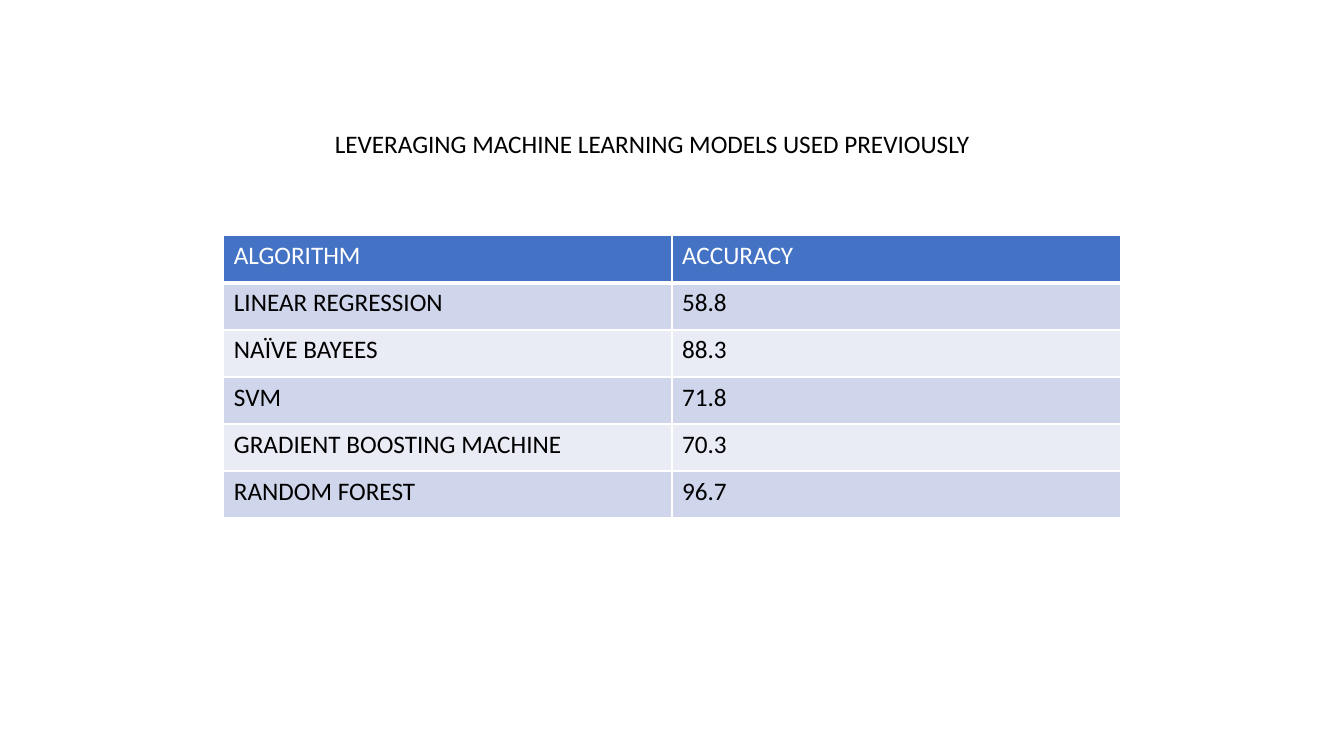
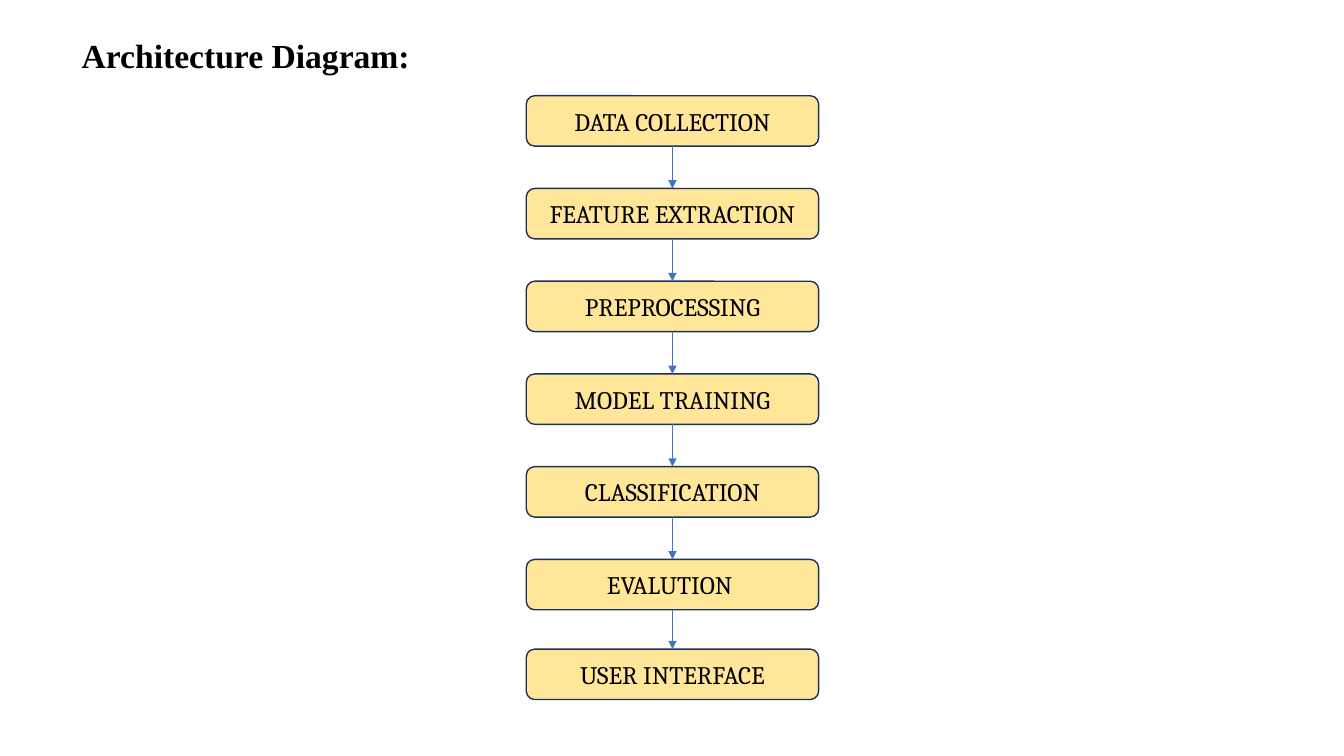
from itertools import pairwise

from lxml.etree import SubElement
from pptx import Presentation
from pptx.dml.color import RGBColor
from pptx.enum.shapes import MSO_CONNECTOR, MSO_SHAPE
from pptx.enum.text import MSO_ANCHOR as Anchor, PP_ALIGN as Align
from pptx.oxml import parse_xml
from pptx.oxml.ns import nsdecls, qn
from pptx.util import Inches, Pt

COLORS = {
    "text": "000000",
    "white": "FFFFFF",
    "accent": "4472C4",
    "band_dark": "CFD5EA",
    "band_light": "E9EBF5",
    "step": "FFE699",
    "step_line": "1E3256",
}
TITLE_ONLY = 5
ACCURACY_ROWS = [
    ("ALGORITHM", "ACCURACY"),
    ("LINEAR REGRESSION", "58.8"),
    ("NAÏVE BAYEES", "88.3"),
    ("SVM", "71.8"),
    ("GRADIENT BOOSTING MACHINE", "70.3"),
    ("RANDOM FOREST", "96.7"),
]
STEPS = [
    "DATA COLLECTION", "FEATURE EXTRACTION", "PREPROCESSING", "MODEL TRAINING",
    "CLASSIFICATION", "EVALUTION ", "USER INTERFACE",
]
# The last step sits slightly closer than the regular pitch.
STEP_TOPS = [0.95 + 0.92 * row for row in range(len(STEPS) - 1)] + [6.44]


def color(name):
    return RGBColor.from_string(COLORS[name])


def write(frame, text, font, size=18, ink="text", align=Align.LEFT,
          anchor=Anchor.TOP, bold=False):
    frame.word_wrap = True
    frame.vertical_anchor = anchor
    para = frame.paragraphs[0]
    para.alignment = align
    span = para.add_run()
    span.text = text
    formats = {"name": font, "size": Pt(size), "bold": bold}
    for attribute, value in formats.items():
        setattr(span.font, attribute, value)
    span.font.color.rgb = color(ink)


def add_titled_slide(deck, text, place, **formats):
    page = deck.slides.add_slide(deck.slide_layouts[TITLE_ONLY])
    title = page.shapes.title
    for side, value in zip(("left", "top", "width", "height"), place):
        setattr(title, side, Inches(value))
    write(title.text_frame, text, **formats)
    return page


def set_borders(cell, bottom_width):
    """Draw white cell borders, 1 point wide except for the bottom one."""
    properties = cell._tc.get_or_add_tcPr()
    widths = {"lnL": 1, "lnR": 1, "lnT": 1, "lnB": bottom_width}
    for position, (edge, width) in enumerate(widths.items()):
        properties.insert(position, parse_xml(
            f'<a:{edge} {nsdecls("a")} w="{Pt(width)}"><a:solidFill>'
            f'<a:srgbClr val="{COLORS["white"]}"/></a:solidFill></a:{edge}>'))


def add_banded_table(page, rows, left, top, width, height):
    table = page.shapes.add_table(
        len(rows), len(rows[0]),
        Inches(left), Inches(top), Inches(width), Inches(height)).table
    for row, values in enumerate(rows):
        header = row == 0
        fill = "accent" if header else "band_dark" if row % 2 else "band_light"
        for column, value in enumerate(values):
            cell = table.cell(row, column)
            cell.fill.solid()
            cell.fill.fore_color.rgb = color(fill)
            set_borders(cell, bottom_width=3 if header else 1)
            write(cell.text_frame, value, "Calibri",
                  ink="white" if header else "text")


def add_step(page, text, top):
    box = page.shapes.add_shape(
        MSO_SHAPE.ROUNDED_RECTANGLE,
        Inches(5.22), Inches(top), Inches(2.9), Inches(0.5))
    box.shadow.inherit = False
    box.fill.solid()
    box.fill.fore_color.rgb = color("step")
    box.line.color.rgb = color("step_line")
    box.line.width = Pt(1)
    write(box.text_frame, text, "Cambria", align=Align.CENTER, anchor=Anchor.MIDDLE)
    return box


def add_arrow(page, upper, lower):
    """Link the bottom of the upper box to the top of the lower one."""
    arrow = page.shapes.add_connector(MSO_CONNECTOR.STRAIGHT, 0, 0, 0, 0)
    arrow.begin_connect(upper, 2)
    arrow.end_connect(lower, 0)
    arrow.line.color.rgb = color("accent")
    arrow.line.width = Pt(0.5)
    SubElement(arrow.line._get_or_add_ln(), qn("a:tailEnd"), type="triangle")
    SubElement(arrow._element.spPr, qn("a:effectLst"))


def add_accuracy_slide(deck):
    page = add_titled_slide(
        deck, "LEVERAGING MACHINE LEARNING MODELS USED PREVIOUSLY",
        (3.22, 1.22, 6.89, 0.4), font="Calibri")
    add_banded_table(page, ACCURACY_ROWS, 2.22, 2.34, 8.89, 2.8)


def add_architecture_slide(deck):
    page = add_titled_slide(
        deck, "Architecture Diagram: ", (0.71, 0.3, 6.67, 0.5),
        font="Times New Roman", size=24, bold=True, align=Align.JUSTIFY)
    boxes = [add_step(page, text, top) for text, top in zip(STEPS, STEP_TOPS)]
    for upper, lower in pairwise(boxes):
        add_arrow(page, upper, lower)


def main():
    deck = Presentation()
    deck.slide_width = Inches(13.33)
    deck.slide_height = Inches(7.5)
    add_accuracy_slide(deck)
    add_architecture_slide(deck)
    deck.save("out.pptx")


if __name__ == "__main__":
    main()
